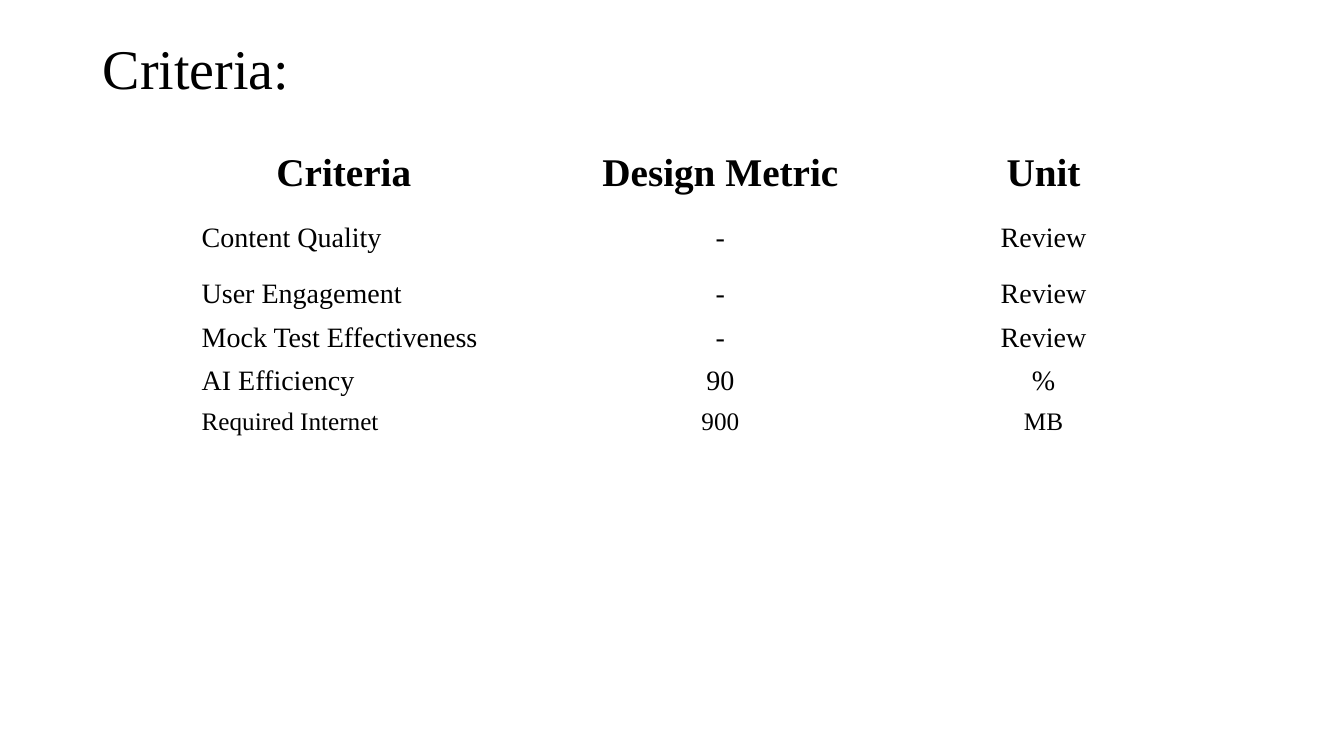
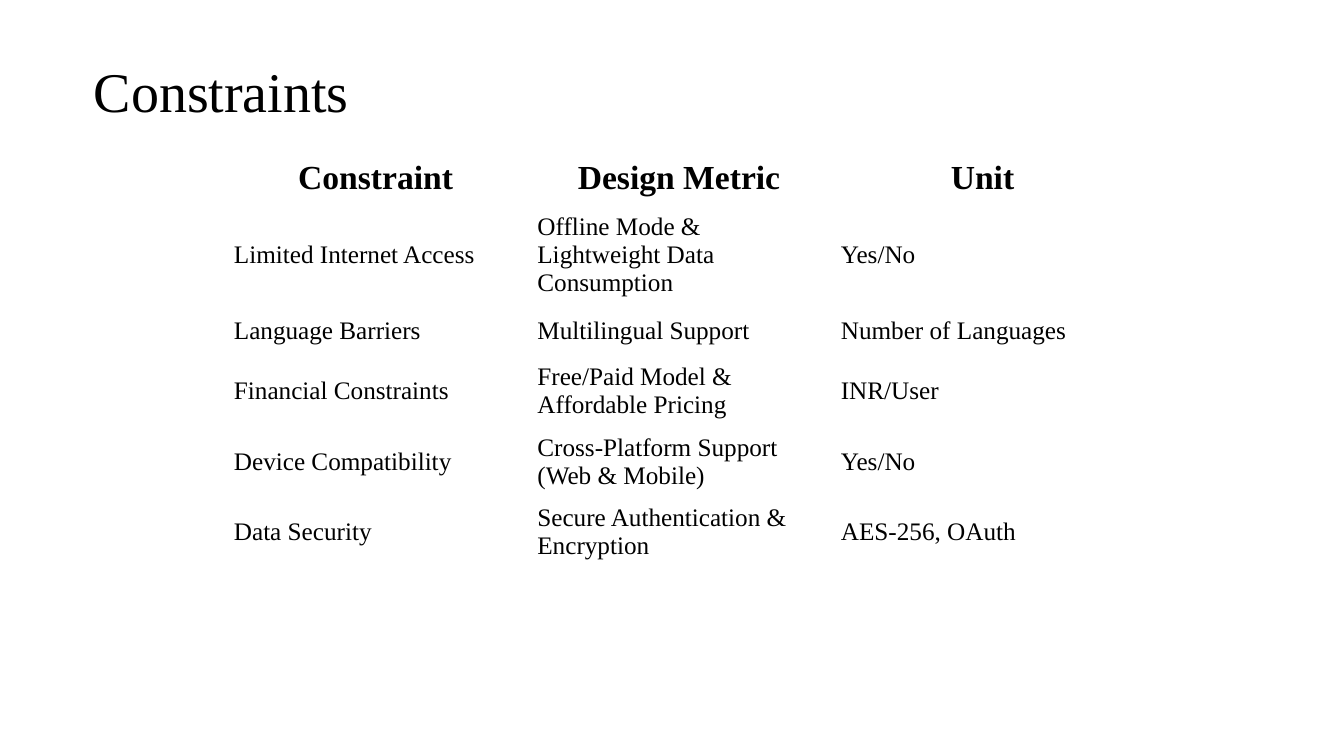
from dataclasses import dataclass

from pptx import Presentation
from pptx.dml.color import RGBColor
from pptx.enum.text import MSO_ANCHOR, MSO_AUTO_SIZE, PP_ALIGN
from pptx.util import Pt

PX = 9144
LEFT, CENTER = PP_ALIGN.LEFT, PP_ALIGN.CENTER
TOP, MIDDLE = MSO_ANCHOR.TOP, MSO_ANCHOR.MIDDLE
NO_AUTOFIT = MSO_AUTO_SIZE.NONE
TITLE_ONLY = 5


@dataclass(frozen=True)
class Theme:
    """Colours, font and type sizes shared by the slides."""
    font: str = "Times New Roman"
    ink: RGBColor = RGBColor(0, 0, 0)
    title: int = 40
    head_large: int = 28
    head: int = 24
    body_large: int = 20
    body: int = 18


THEME = Theme()

CRITERIA = [
    ("Criteria", "Design Metric", "Unit"),
    ("Content Quality", "-", "Review"),
    ("User Engagement", "-", "Review"),
    ("Mock Test Effectiveness", "-", "Review"),
    ("AI Efficiency", "90", "%"),
    ("Required Internet", "900", "MB"),
] + [("", "", "")] * 4

CONSTRAINTS = [
    ("Constraint", "Design Metric", "Unit"),
    ("Limited Internet Access", "Offline Mode & Lightweight Data Consumption", "Yes/No"),
    ("Language Barriers", "Multilingual Support", "Number of Languages"),
    ("Financial Constraints", "Free/Paid Model & Affordable Pricing", "INR/User"),
    ("Device Compatibility", "Cross-Platform Support (Web & Mobile)", "Yes/No"),
    ("Data Security", "Secure Authentication & Encryption", "AES-256, OAuth"),
]


def px(*lengths):
    """Turn px lengths into EMU."""
    return [n * PX for n in lengths]


def style_text(tf, size, align, bold=False):
    """Format every paragraph and run of a text frame."""
    for p in tf.paragraphs:
        p.alignment = align
        for r in p.runs:
            r.font.name = THEME.font
            r.font.size = Pt(size)
            r.font.bold = bold
            r.font.color.rgb = THEME.ink


def add_title(s, text, box, anchor, line_spacing=1.0):
    """Place the title placeholder in its box."""
    sp = s.shapes.title
    sp.left, sp.top, sp.width, sp.height = px(*box)
    tf = sp.text_frame
    tf.text = text
    tf.auto_size = NO_AUTOFIT
    tf.vertical_anchor = anchor
    tf.paragraphs[0].line_spacing = line_spacing
    style_text(tf, THEME.title, LEFT)


def add_grid(s, rows, origin, widths, heights, sizes, aligns):
    """Add an unfilled table with a bold centred header row."""
    box = px(*origin, sum(widths), sum(heights))
    table = s.shapes.add_table(len(rows), len(widths), *box).table
    table.horz_banding = False
    for column, width in zip(table.columns, px(*widths)):
        column.width = width
    for i, (row, height) in enumerate(zip(table.rows, px(*heights))):
        row.height = height
        header = i == 0
        for cell, text, align in zip(row.cells, rows[i], aligns):
            cell.fill.background()
            cell.text = text
            cell.vertical_anchor = TOP if header else MIDDLE
            style_text(cell.text_frame, sizes[i], CENTER if header else align, header)


def criteria_slide(prs):
    """Build the criteria slide."""
    s = prs.slides.add_slide(prs.slide_layouts[TITLE_ONLY])
    add_title(s, "Criteria:", (92, 40, 1150, 65), MIDDLE, 0.8)
    sizes = [THEME.head_large] + [THEME.body_large] * 4 + [THEME.body] * 5
    add_grid(s, CRITERIA, (190, 145), (302, 445, 196),
             [57, 68, 43, 44, 42, 40] + [45] * 4, sizes, (LEFT, CENTER, CENTER))


def constraints_slide(prs):
    """Build the constraints slide."""
    s = prs.slides.add_slide(prs.slide_layouts[TITLE_ONLY])
    add_title(s, "Constraints", (83, 51, 667, 77), TOP)
    sizes = [THEME.head] + [THEME.body] * 5
    add_grid(s, CONSTRAINTS, (222, 153), [301] * 3,
             [50, 100, 50] + [70] * 3, sizes, [LEFT] * 3)


def main():
    """Build and save the presentation."""
    prs = Presentation()
    prs.slide_width, prs.slide_height = px(1333, 750)
    criteria_slide(prs)
    constraints_slide(prs)
    prs.save("out.pptx")


if __name__ == "__main__":
    main()
